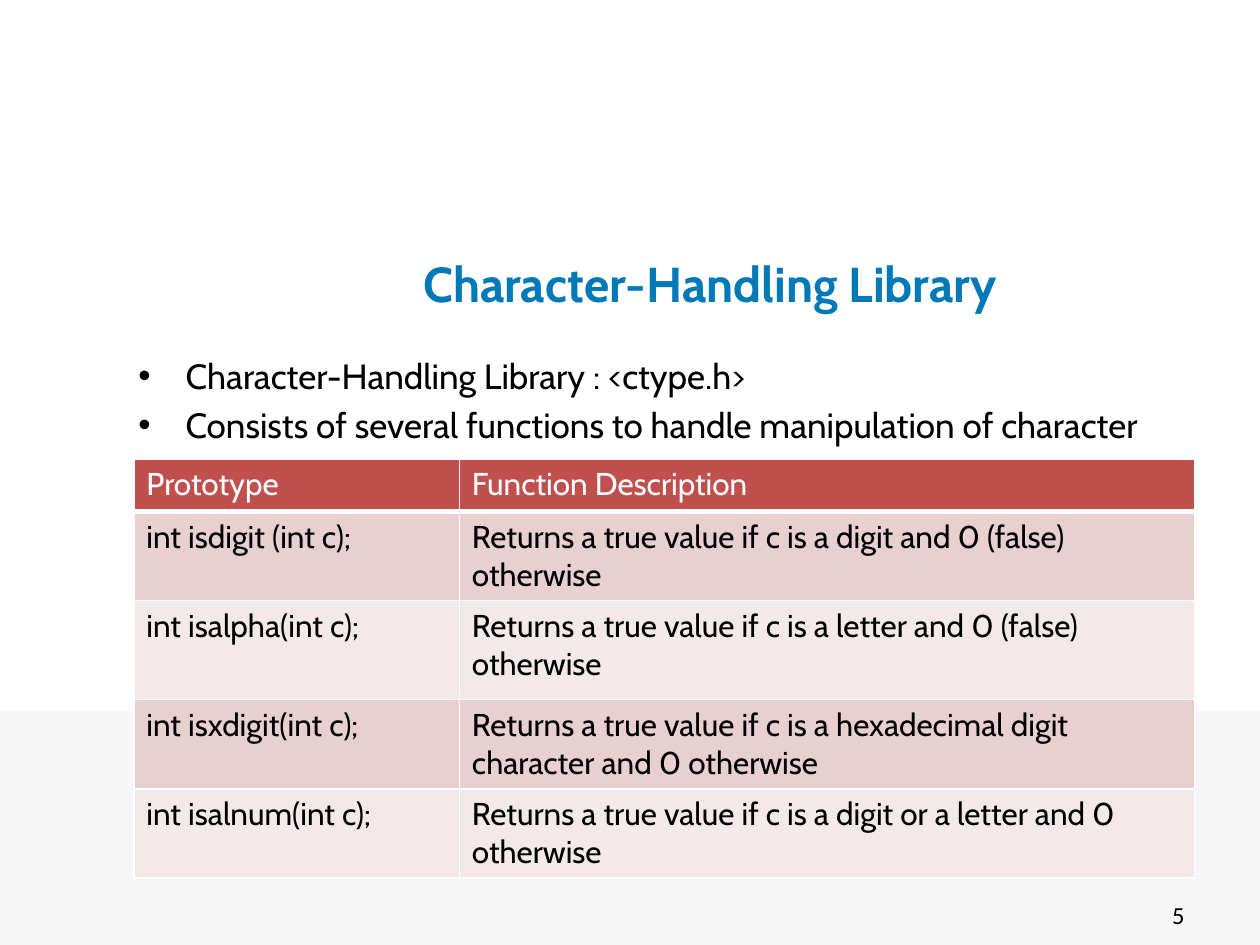
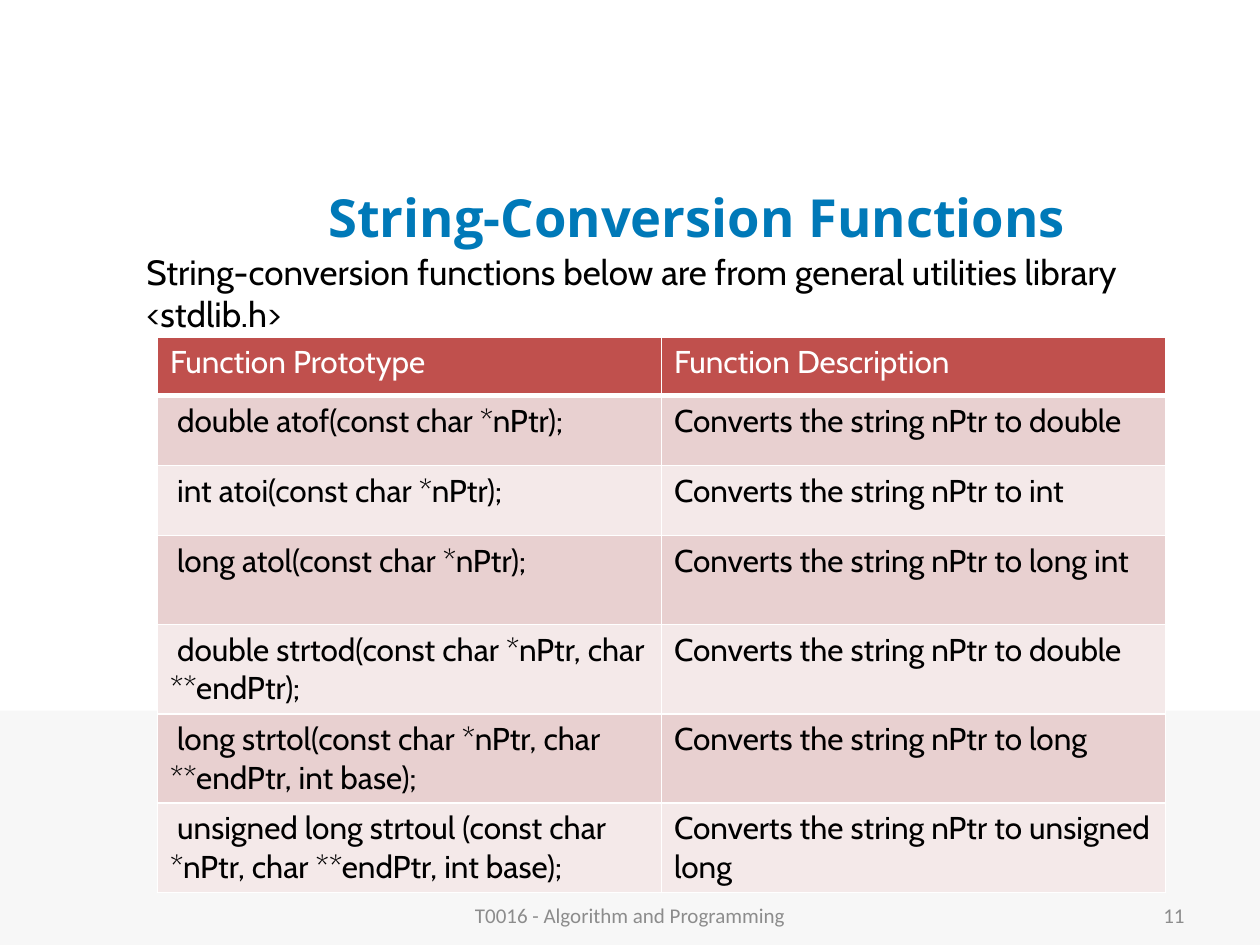
from lxml import etree
from pptx import Presentation
from pptx.dml.color import RGBColor
from pptx.enum.shapes import MSO_SHAPE
from pptx.enum.text import MSO_ANCHOR, PP_ALIGN
from pptx.oxml.ns import qn
from pptx.util import Pt

RECTANGLE = MSO_SHAPE.RECTANGLE
TOP, MIDDLE = MSO_ANCHOR.TOP, MSO_ANCHOR.MIDDLE
LEFT, CENTER, RIGHT = PP_ALIGN.LEFT, PP_ALIGN.CENTER, PP_ALIGN.RIGHT

WIDTH, HEIGHT = 720, 540
BAND_TOP = 406
FOOTER_TOP, FOOTER_HEIGHT = 508.5, 28.75
TITLE_SIZE = (556.5, 90)
BODY_FONT, FOOTER_FONT = "Cabin", "Calibri"
WHITE, BLACK, GREY = "FFFFFF", "000000", "8C8C8C"
BAND, TITLE_BLUE, HEADER_RED = "F7F7F7", "0079B8", "C0504D"
ROW_TINTS = ("E8D0D0", "F4E9E9")

CHARACTER_FUNCTIONS = [
    ("Prototype", "Function Description"),
    ("int isdigit (int c);", "Returns a true value if c is a digit and 0 (false) otherwise"),
    ("int isalpha(int c);", "Returns a true value if c is a letter and 0 (false) otherwise"),
    ("int isxdigit(int c);",
     "Returns a true value if c is a hexadecimal digit character and 0 otherwise"),
    ("int isalnum(int c);", "Returns a true value if c is a digit or a letter and 0 otherwise"),
]
CONVERSION_FUNCTIONS = [
    ("Function Prototype", "Function Description"),
    (" double atof(const char *nPtr);", "Converts the string nPtr to double"),
    (" int atoi(const char *nPtr);", "Converts the string nPtr to int"),
    (" long atol(const char *nPtr);", "Converts the string nPtr to long int"),
    (" double strtod(const char *nPtr, char **endPtr);", "Converts the string nPtr to double"),
    (" long strtol(const char *nPtr, char **endPtr, int base);",
     "Converts the string nPtr to long"),
    (" unsigned long strtoul (const char *nPtr, char **endPtr, int base);",
     "Converts the string nPtr to unsigned long"),
]


def color(hex_code):
    return RGBColor.from_string(hex_code)


def add_run(paragraph, text, size, hex_code, font=BODY_FONT, bold=False):
    run = paragraph.add_run()
    run.text = text
    run.font.name = font
    run.font.size = Pt(size)
    run.font.bold = bold
    run.font.color.rgb = color(hex_code)


def add_bullet(paragraph, indent):
    properties = paragraph._p.get_or_add_pPr()
    properties.set("marL", str(Pt(indent)))
    properties.set("indent", str(-Pt(indent)))
    etree.SubElement(properties, qn("a:buFont"), typeface="Arial")
    etree.SubElement(properties, qn("a:buChar"), char="•")


def start_slide(deck, title, left, top, size, font):
    slide = deck.slides.add_slide(deck.slide_layouts[5])
    band = slide.shapes.add_shape(
        RECTANGLE, 0, Pt(BAND_TOP), Pt(WIDTH), Pt(HEIGHT - BAND_TOP))
    band.shadow.inherit = False
    band.fill.solid()
    band.fill.fore_color.rgb = color(BAND)
    band.line.fill.background()
    heading = slide.shapes.title
    heading.left, heading.top = Pt(left), Pt(top)
    heading.width, heading.height = (Pt(length) for length in TITLE_SIZE)
    heading.text_frame.vertical_anchor = MIDDLE
    paragraph = heading.text_frame.paragraphs[0]
    paragraph.alignment = CENTER
    add_run(paragraph, title, size, TITLE_BLUE, font, True)
    return slide


def add_text(slide, lines, left, top, width, height, size=20, hex_code=BLACK,
             font=BODY_FONT, align=LEFT, anchor=TOP, bullet_indent=0):
    box = slide.shapes.add_textbox(Pt(left), Pt(top), Pt(width), Pt(height))
    frame = box.text_frame
    frame.word_wrap = True
    frame.vertical_anchor = anchor
    for index, line in enumerate(lines):
        paragraph = frame.add_paragraph() if index else frame.paragraphs[0]
        paragraph.alignment = align
        if bullet_indent:
            paragraph.space_before = Pt(size * 0.2)
            add_bullet(paragraph, bullet_indent)
        add_run(paragraph, line, size, hex_code, font)


def add_footer(slide, text, left, width, align, size=12, hex_code=GREY):
    add_text(slide, [text], left, FOOTER_TOP, width, FOOTER_HEIGHT,
             size, hex_code, FOOTER_FONT, align, MIDDLE)


def add_page_number(slide, number, **style):
    add_footer(slide, number, 516, 168, RIGHT, **style)


def set_borders(cell, bottom_width):
    properties = cell._tc.get_or_add_tcPr()
    for side, width in (("L", 1), ("R", 1), ("T", 1), ("B", bottom_width)):
        line = etree.SubElement(properties, qn(f"a:ln{side}"), w=str(Pt(width)))
        fill = etree.SubElement(line, qn("a:solidFill"))
        etree.SubElement(fill, qn("a:srgbClr"), val=WHITE)


def add_function_table(slide, functions, left, top, column_widths, row_heights):
    table = slide.shapes.add_table(
        len(functions), len(column_widths), Pt(left), Pt(top),
        Pt(sum(column_widths)), Pt(sum(row_heights))).table
    for column, width in zip(table.columns, column_widths):
        column.width = Pt(width)
    for index, (entries, height) in enumerate(zip(functions, row_heights)):
        table.rows[index].height = Pt(height)
        is_header = index == 0
        tint = HEADER_RED if is_header else ROW_TINTS[(index - 1) % 2]
        for cell, entry in zip(table.rows[index].cells, entries):
            set_borders(cell, 3 if is_header else 1)
            cell.fill.solid()
            cell.fill.fore_color.rgb = color(tint)
            add_run(cell.text_frame.paragraphs[0], entry, 18, WHITE if is_header else BLACK)


def add_character_slide(deck):
    slide = start_slide(deck, "Character-Handling Library", 127.5, 116.5, 28, BODY_FONT)
    add_text(slide, ["Character-Handling Library : <ctype.h>",
                     "Consists of several functions to handle manipulation of character"],
             72, 198.75, 648, 106, bullet_indent=27)
    add_page_number(slide, "5", size=14, hex_code=BLACK)
    add_function_table(slide, CHARACTER_FUNCTIONS, 76.5, 262.25,
                       [186, 420], [30, 51, 56.5, 51, 51])


def add_conversion_slide(deck):
    slide = start_slide(deck, "String-Conversion Functions", 120, 78.75, 30, "Open Sans")
    add_footer(slide, "T0016 - Algorithm and Programming", 246, 228, CENTER)
    add_page_number(slide, "11")
    add_function_table(slide, CONVERSION_FUNCTIONS, 90, 192.5,
                       [288, 288], [33.5, 40, 40] + [51] * 4)
    add_text(slide, ["String-conversion functions below are from general utilities "
                     "library <stdlib.h>"], 76.5, 139.5, 600, 55.5)


def main():
    deck = Presentation()
    deck.slide_width, deck.slide_height = Pt(WIDTH), Pt(HEIGHT)
    add_character_slide(deck)
    add_conversion_slide(deck)
    deck.save("out.pptx")


if __name__ == "__main__":
    main()
